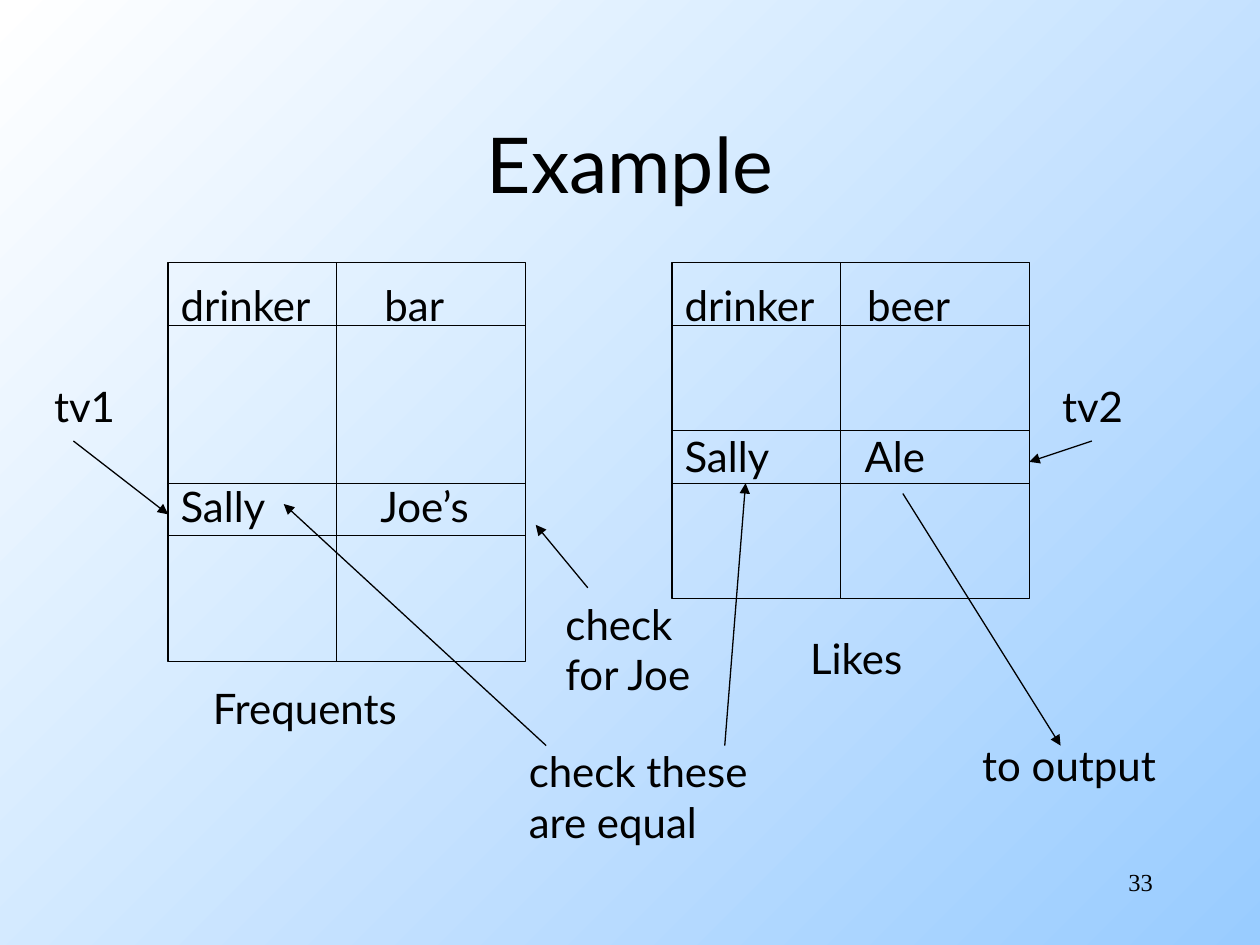
from dataclasses import dataclass

from lxml import etree
from pptx import Presentation
from pptx.dml.color import RGBColor
from pptx.enum.shapes import MSO_CONNECTOR, MSO_SHAPE
from pptx.enum.text import MSO_ANCHOR, PP_ALIGN
from pptx.oxml.ns import qn
from pptx.util import Cm, Pt

STRAIGHT = MSO_CONNECTOR.STRAIGHT
RECTANGLE = MSO_SHAPE.RECTANGLE
TOP, MIDDLE = MSO_ANCHOR.TOP, MSO_ANCHOR.MIDDLE
LEFT, CENTER, RIGHT = PP_ALIGN.LEFT, PP_ALIGN.CENTER, PP_ALIGN.RIGHT


@dataclass(frozen=True)
class Theme:
    ink: RGBColor = RGBColor(0x00, 0x00, 0x00)
    bg_start: RGBColor = RGBColor(0xFF, 0xFF, 0xFF)
    bg_end: RGBColor = RGBColor(0x99, 0xCC, 0xFF)
    font: str = "Lato"
    number_font: str = "Times New Roman"
    title_size: int = 44
    body_size: int = 24
    number_size: int = 14
    line_width: float = 0.75


@dataclass(frozen=True)
class Label:
    text: str
    left: float
    top: float
    width: float = 4.0
    height: float = 1.27
    size: int = Theme.body_size
    font: str = Theme.font
    align: PP_ALIGN = LEFT
    anchor: MSO_ANCHOR = TOP


@dataclass(frozen=True)
class Relation:
    """Grid of a relation; rules are line offsets below its top edge."""
    left: float
    height: float
    rules: tuple[float, ...]


@dataclass(frozen=True)
class Line:
    x1: float
    y1: float
    x2: float
    y2: float


THEME = Theme()
GRID_TOP, GRID_WIDTH, FIRST_COLUMN = 5.29, 7.2, 3.39
FREQUENTS = Relation(3.39, 8.05, (1.27, 4.45, 5.5))
LIKES = Relation(13.55, 6.77, (1.27, 3.39, 4.45))


def text_row(index: int) -> float:
    """Top of a label on the given line of the shared text rhythm."""
    return round(5.51 + 1.016 * index, 2)


LABELS = (
    Label("33", 18.21, 17.35, 5.28, size=THEME.number_size,
          font=THEME.number_font, align=RIGHT),
    Label("Example", 1.9, 1.7, 21.6, 3.18, size=THEME.title_size,
          align=CENTER, anchor=MIDDLE),
    Label("drinker", FREQUENTS.left, text_row(0)),
    Label("bar", 7.5, text_row(0)),
    Label("drinker", LIKES.left, text_row(0)),
    Label("beer", 17.23, text_row(0)),
    Label("tv1", 0.84, text_row(2), 2.5),
    Label("tv2", 21.16, text_row(2), 2.5),
    Label("Sally", LIKES.left, text_row(3)),
    Label("Ale", 17.18, text_row(3)),
    Label("Sally", FREQUENTS.left, text_row(4)),
    Label("Joe’s", 7.42, text_row(4)),
    Label("Likes", 16.08, text_row(7)),
    Label("Frequents", 4.04, text_row(8), 5),
    Label("to output", 19.55, 14.78, 4.25),
    Label("check these\nare equal", 10.41, 14.91, 5.5, 2.29),
    Label("check\nfor Joe", 11.15, 11.94, 3.5, 2.29),
)

ARROWS = (
    Line(1.48, 8.89, FREQUENTS.left, 10.37),
    Line(22.01, 8.89, LIKES.left + GRID_WIDTH, 9.31),
    Line(18.2, 9.95, 21.38, 15.03),
    Line(11.01, 15.03, 5.72, 10.16),
    Line(14.61, 15.03, 15.03, 9.74),
    Line(11.85, 11.85, 10.8, 10.58),
)


def set_background(slide) -> None:
    fill = slide.background.fill
    fill.gradient()
    fill.gradient_angle = 315
    for stop, color in zip(fill.gradient_stops, (THEME.bg_start, THEME.bg_end)):
        stop.color.rgb = color


def add_label(slide, label: Label) -> None:
    sp = slide.shapes.add_textbox(Cm(label.left), Cm(label.top),
                                  Cm(label.width), Cm(label.height))
    tf = sp.text_frame
    tf.word_wrap = True
    tf.vertical_anchor = label.anchor
    tf.text = label.text
    for p in tf.paragraphs:
        p.alignment = label.align
        p.font.name = label.font
        p.font.size = Pt(label.size)
        p.font.color.rgb = THEME.ink


def style_line(line) -> None:
    line.color.rgb = THEME.ink
    line.width = Pt(THEME.line_width)


def add_line(slide, line: Line, arrow: bool = False) -> None:
    cxn = slide.shapes.add_connector(STRAIGHT, Cm(line.x1), Cm(line.y1),
                                     Cm(line.x2), Cm(line.y2))
    style_line(cxn.line)
    if arrow:
        etree.SubElement(cxn.line._get_or_add_ln(), qn("a:tailEnd"), type="triangle")
    etree.SubElement(cxn._element.spPr, qn("a:effectLst"))


def add_relation(slide, relation: Relation) -> None:
    left, right = relation.left, relation.left + GRID_WIDTH
    sp = slide.shapes.add_shape(RECTANGLE, Cm(left), Cm(GRID_TOP),
                                Cm(GRID_WIDTH), Cm(relation.height))
    sp.shadow.inherit = False
    sp.fill.background()
    style_line(sp.line)
    for offset in relation.rules:
        y = GRID_TOP + offset
        add_line(slide, Line(left, y, right, y))
    x = left + FIRST_COLUMN
    add_line(slide, Line(x, GRID_TOP, x, GRID_TOP + relation.height))


def main() -> None:
    prs = Presentation()
    prs.slide_width, prs.slide_height = Cm(25.4), Cm(19.05)
    slide = prs.slides.add_slide(prs.slide_layouts[6])
    set_background(slide)
    for label in LABELS:
        add_label(slide, label)
    for relation in (FREQUENTS, LIKES):
        add_relation(slide, relation)
    for arrow in ARROWS:
        add_line(slide, arrow, arrow=True)
    prs.save("out.pptx")


if __name__ == "__main__":
    main()
